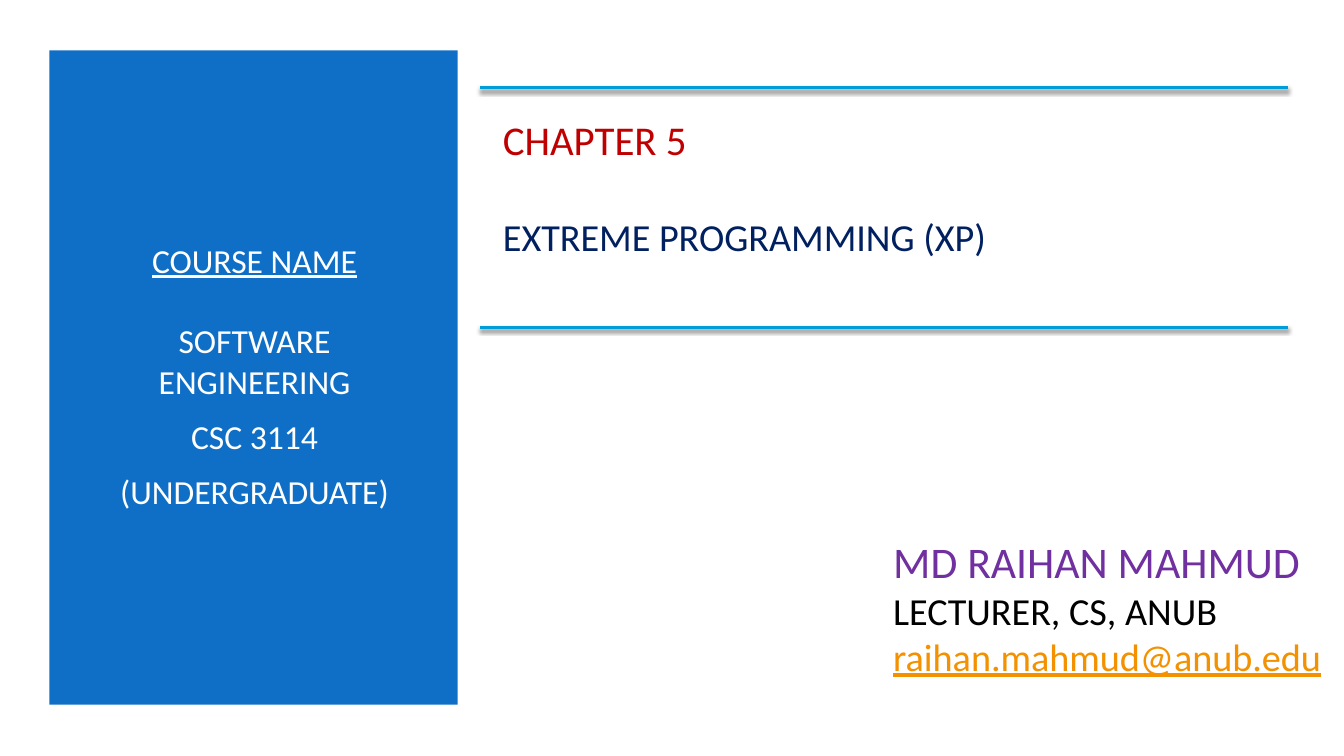
import pptx
import pptx.dml.color
import pptx.enum.shapes
import pptx.enum.text
import pptx.oxml
import pptx.util

NAMESPACE = "http://schemas.openxmlformats.org/drawingml/2006/main"
LINE_SHADOW = (
    f'<a:effectLst xmlns:a="{NAMESPACE}">'
    '<a:outerShdw blurRad="38100" dist="25400" dir="5400000" rotWithShape="0">'
    '<a:srgbClr val="000000"><a:alpha val="55000"/></a:srgbClr>'
    "</a:outerShdw></a:effectLst>"
)


def color(value):
    return pptx.dml.color.RGBColor.from_string(value)


def apply(target, values):
    for name, value in values.items():
        setattr(target, name, value)


class SlideBuilder:
    font_name = "Calibri"

    def __init__(self, presentation):
        self.column = presentation.slide_width / 100
        self.row = presentation.slide_height / 100
        self.slide = presentation.slides.add_slide(presentation.slide_layouts[6])

    def place(self, left, top, width, height):
        return (
            round(left * self.column),
            round(top * self.row),
            round(width * self.column),
            round(height * self.row),
        )

    def rectangle(self, area, fill):
        kind = pptx.enum.shapes.MSO_SHAPE.RECTANGLE
        shape = self.slide.shapes.add_shape(kind, *self.place(*area))
        shape.shadow.inherit = False
        shape.fill.solid()
        shape.fill.fore_color.rgb = color(fill)
        shape.line.fill.background()

    def text(self, area, lines, paragraph_format):
        frame = self.slide.shapes.add_textbox(*self.place(*area)).text_frame
        apply(frame, {
            "word_wrap": True,
            "vertical_anchor": pptx.enum.text.MSO_ANCHOR.MIDDLE,
        })
        for index, (content, size, fill, extra) in enumerate(lines):
            paragraph = frame.add_paragraph() if index else frame.paragraphs[0]
            run = paragraph.add_run()
            run.text = content
            font_format = {"name": self.font_name, "size": pptx.util.Pt(size)}
            if extra.get("underline"):
                font_format["underline"] = True
            apply(run.font, font_format)
            run.font.color.rgb = color(fill)
            apply(paragraph, paragraph_format)
            if "gap" in extra:
                paragraph.space_after = pptx.util.Pt(extra["gap"])

    def rule(self, left, right, height):
        start_x, y, end_x, _ = self.place(left, height, right, 0)
        kind = pptx.enum.shapes.MSO_CONNECTOR.STRAIGHT
        connector = self.slide.shapes.add_connector(kind, start_x, y, end_x, y)
        connector.line.color.rgb = color("009DD9")
        connector.line.width = pptx.util.Pt(2)
        properties = connector.line._get_or_add_ln().getparent()
        properties.append(pptx.oxml.parse_xml(LINE_SHADOW))


def main():
    presentation = pptx.Presentation()
    presentation.slide_width = pptx.util.Inches(13.33)
    presentation.slide_height = pptx.util.Inches(7.5)
    builder = SlideBuilder(presentation)

    builder.rectangle((0, 0, 100, 100), "FFFFFF")
    builder.rectangle((3.68, 6.67, 30.38, 86.53), "0F6FC6")
    builder.text(
        (6.3, 14.67, 25.28, 70),
        [
            ("COURSE NAME", 24, "FFFFFF", {"underline": True, "gap": 24}),
            ("SOFTWARE ENGINEERING", 24, "FFFFFF", {}),
            ("CSC 3114", 24, "FFFFFF", {}),
            ("(UNDERGRADUATE)", 24, "FFFFFF", {}),
        ],
        {
            "alignment": pptx.enum.text.PP_ALIGN.CENTER,
            "space_before": pptx.util.Pt(4.8),
            "space_after": pptx.util.Pt(6),
        },
    )
    left_aligned = {"alignment": pptx.enum.text.PP_ALIGN.LEFT}
    builder.text(
        (36.68, 14.67, 58.89, 20.13),
        [
            ("CHAPTER 5", 29.2, "C00000", {"gap": 35.6}),
            ("EXTREME PROGRAMMING (XP)", 27.3, "002060", {}),
        ],
        left_aligned,
    )
    builder.text(
        (65.72, 69.87, 35.11, 20.8),
        [
            ("MD RAIHAN MAHMUD", 31.2, "7030A0", {}),
            ("LECTURER, CS, ANUB", 27.3, "000000", {}),
            ("raihan.mahmud@anub.edu", 27.3, "F49100", {"underline": True}),
        ],
        left_aligned,
    )
    for height in (11.6, 43.33):
        builder.rule(35.7, 95.8, height)

    presentation.save("out.pptx")


if __name__ == "__main__":
    main()
